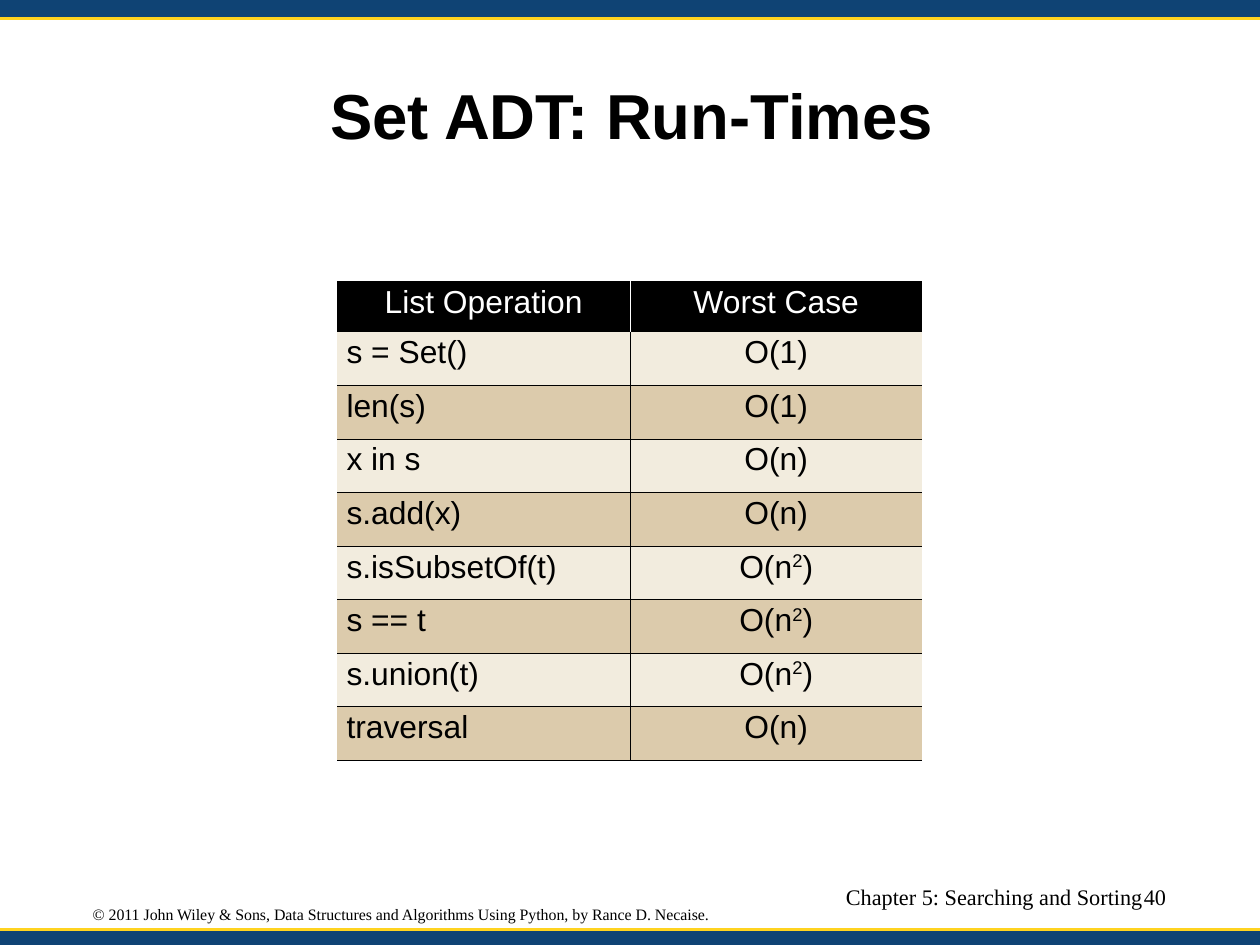
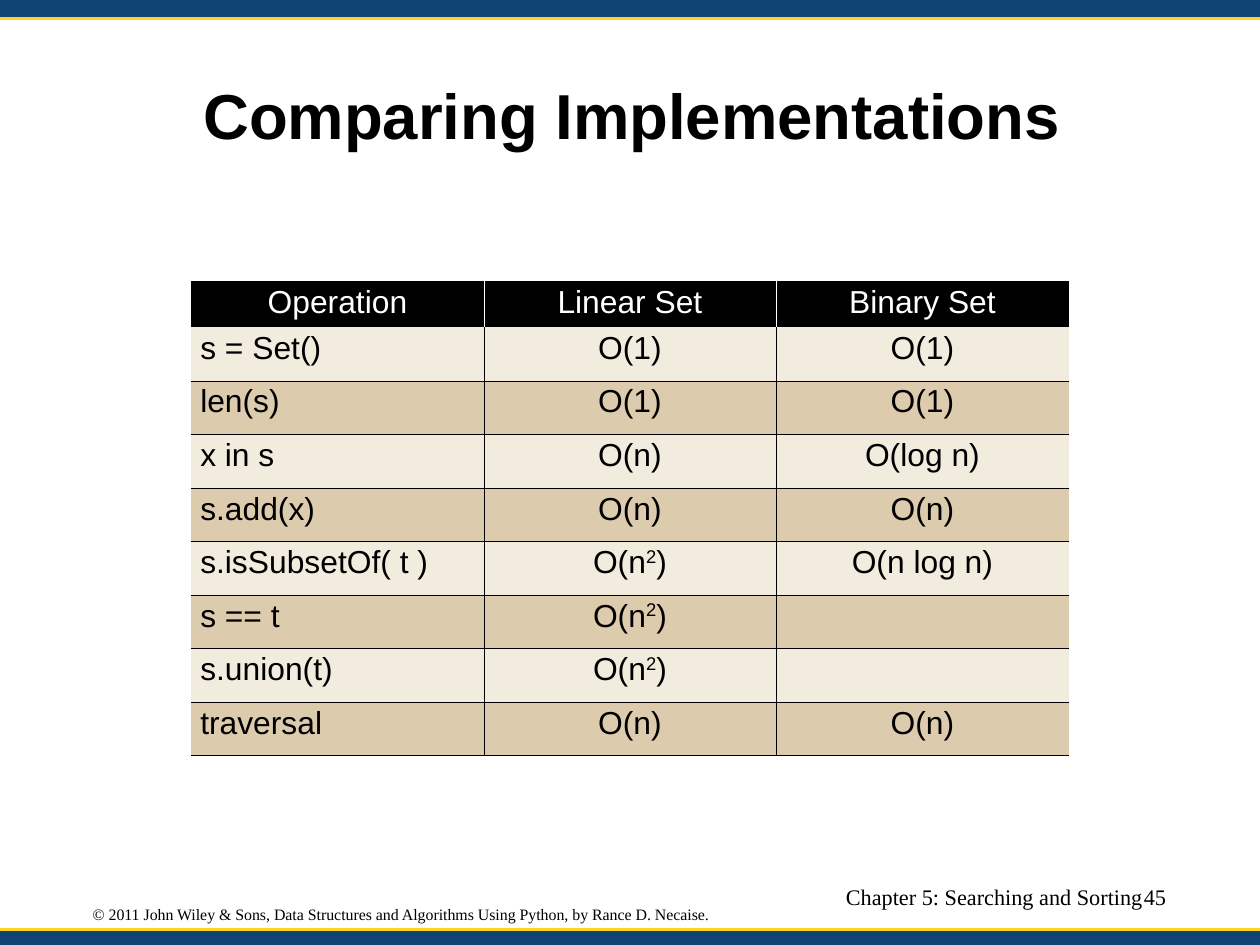
"""Builds two slides that tabulate the run-times of Set ADT operations."""
from dataclasses import dataclass

from lxml import etree
from pptx import Presentation
from pptx.dml.color import RGBColor
from pptx.enum import shapes, text
from pptx.oxml.ns import qn
from pptx.util import Cm, Pt


@dataclass(frozen=True)
class Theme:
    navy: str = "0F4374"
    gold: str = "FFD320"
    black: str = "000000"
    white: str = "FFFFFF"
    cream: str = "F2ECDE"
    tan: str = "DCCBAC"
    sans: str = "Arial"
    serif: str = "Times New Roman"
    title_size: int = 40
    table_size: int = 20
    footer_size: int = 14
    copyright_size: int = 10
    line_spacing: float = 0.93
    no_grid_style: str = "{2D5ABB26-0587-4C30-8999-92F81FD0307C}"


THEME = Theme()
WIDTH, HEIGHT = 28, 21
TOP_RULE, BOTTOM_RULE = 0.41, 20.65
TABLE_TOP, COLUMN_WIDTH, ROW_HEIGHT = 6.24, 6.5, 1.19
LEFT, CENTER, RIGHT = text.PP_ALIGN.LEFT, text.PP_ALIGN.CENTER, text.PP_ALIGN.RIGHT

SLIDES = [
    ("Set ADT: Run-Times", "40", 1.13, [
        ("List Operation", "Worst Case"),
        ("s = Set()", "O(1)"),
        ("len(s)", "O(1)"),
        ("x in s", "O(n)"),
        ("s.add(x)", "O(n)"),
        ("s.isSubsetOf(t)", "O(n²)"),
        ("s == t", "O(n²)"),
        ("s.union(t)", "O(n²)"),
        ("traversal", "O(n)"),
    ]),
    ("Comparing Implementations", "45", 1.03, [
        ("Operation", "Linear Set", "Binary Set"),
        ("s = Set()", "O(1)", "O(1)"),
        ("len(s)", "O(1)", "O(1)"),
        ("x in s", "O(n)", "O(log n)"),
        ("s.add(x)", "O(n)", "O(n)"),
        ("s.isSubsetOf( t )", "O(n²)", "O(n log n)"),
        ("s == t", "O(n²)", ""),
        ("s.union(t)", "O(n²)", ""),
        ("traversal", "O(n)", "O(n)"),
    ]),
]


def write(paragraph, words, face, size, align=LEFT, color=THEME.black, bold=False):
    base, square, rest = words.partition("²")
    for part in filter(None, (base, square, rest)):
        run = paragraph.add_run()
        run.text = part.replace("²", "2")
        if part == "²":
            run._r.get_or_add_rPr().set("baseline", "33000")
    paragraph.alignment = align
    paragraph.line_spacing = THEME.line_spacing
    font = paragraph.font
    font.name, font.size, font.bold = face, Pt(size), bold
    font.color.rgb = RGBColor.from_string(color)


def add_label(slide, box, words, size, align=LEFT, wrap=True, anchor=text.MSO_ANCHOR.TOP):
    label = slide.shapes.add_textbox(*map(Cm, box))
    frame = label.text_frame
    frame.margin_left = frame.margin_right = frame.margin_top = frame.margin_bottom = 0
    frame.word_wrap, frame.vertical_anchor = wrap, anchor
    write(frame.paragraphs[0], words, THEME.serif, size, align)
    return label


deck = Presentation()
deck.slide_width, deck.slide_height = Cm(WIDTH), Cm(HEIGHT)
layout = deck.slide_layouts.get_by_name("Title Only")
layout_title, *unused = layout.placeholders
for placeholder in unused:
    placeholder.element.getparent().remove(placeholder.element)
layout_title.left, layout_title.top = Cm(1.4), Cm(0.83)
layout_title.width, layout_title.height = Cm(25.27), Cm(3.51)
title_frame = layout_title.text_frame
title_frame.margin_left = title_frame.margin_right = title_frame.margin_bottom = 0
title_frame.margin_top = Cm(0.1)

pages = [deck.slides.add_slide(layout) for _ in SLIDES]

# Shared bands, rules and copyright line are drawn once and moved to the layout.
shared = []
for top, height in ((0, TOP_RULE), (BOTTOM_RULE, HEIGHT - BOTTOM_RULE)):
    band = pages[0].shapes.add_shape(
        shapes.MSO_SHAPE.RECTANGLE, 0, Cm(top), Cm(WIDTH), Cm(height))
    band.shadow.inherit = False
    band.fill.solid()
    band.fill.fore_color.rgb = RGBColor.from_string(THEME.navy)
    band.line.fill.background()
    shared.append(band)
for y in (TOP_RULE, BOTTOM_RULE):
    rule = pages[0].shapes.add_connector(
        shapes.MSO_CONNECTOR.STRAIGHT, 0, Cm(y), Cm(WIDTH), Cm(y))
    rule.line.color.rgb = RGBColor.from_string(THEME.gold)
    rule.line.width = Pt(2)
    etree.SubElement(rule.element.spPr, qn("a:effectLst"))
    shared.append(rule)
shared.append(add_label(
    pages[0], (2.06, 20.15, 13.84, 0.38),
    "© 2011 John Wiley & Sons, Data Structures and Algorithms Using Python, by Rance D. Necaise.",
    THEME.copyright_size, wrap=False, anchor=text.MSO_ANCHOR.MIDDLE))
for item in shared:
    layout.shapes.element.append(item.element)

for slide, (title, number, header_height, rows) in zip(pages, SLIDES):
    write(slide.shapes.title.text_frame.paragraphs[0], title,
          THEME.sans, THEME.title_size, CENTER, bold=True)

    columns = len(rows[0])
    table_width = columns * COLUMN_WIDTH
    table_height = header_height + (len(rows) - 1) * ROW_HEIGHT
    run_times = slide.shapes.add_table(
        len(rows), columns, Cm((WIDTH - table_width) / 2), Cm(TABLE_TOP),
        Cm(table_width), Cm(table_height))
    run_times.element.find(".//" + qn("a:tableStyleId")).text = THEME.no_grid_style
    table = run_times.table
    table.horz_banding = False
    for r, row in enumerate(rows):
        header = r == 0
        table.rows[r].height = Cm(header_height if header else ROW_HEIGHT)
        fill = THEME.black if header else (THEME.tan, THEME.cream)[r % 2]
        ink = THEME.white if header else THEME.black
        for c, words in enumerate(row):
            cell = table.cell(r, c)
            cell.margin_left = cell.margin_right = Cm(0.25 if header else 0.2)
            cell.margin_top = cell.margin_bottom = Cm(0.13)
            edges = (("lnL", c > 0), ("lnR", c < columns - 1), ("lnB", not header))
            for edge, drawn in edges:
                if drawn:
                    border = etree.SubElement(
                        cell._tc.get_or_add_tcPr(), qn("a:" + edge), w=str(Pt(0.25)))
                    paint = etree.SubElement(border, qn("a:solidFill"))
                    etree.SubElement(paint, qn("a:srgbClr"), val=ink)
            cell.fill.solid()
            cell.fill.fore_color.rgb = RGBColor.from_string(fill)
            write(cell.text_frame.paragraphs[0], words, THEME.sans, THEME.table_size,
                  CENTER if header or c else LEFT, ink)

    add_label(slide, (16.54, 19.69, 8.86, 0.89), "Chapter 5: Searching and Sorting",
              THEME.footer_size, RIGHT)
    add_label(slide, (25.42, 19.69, 1.17, 0.89), number, THEME.footer_size)

deck.save("out.pptx")
